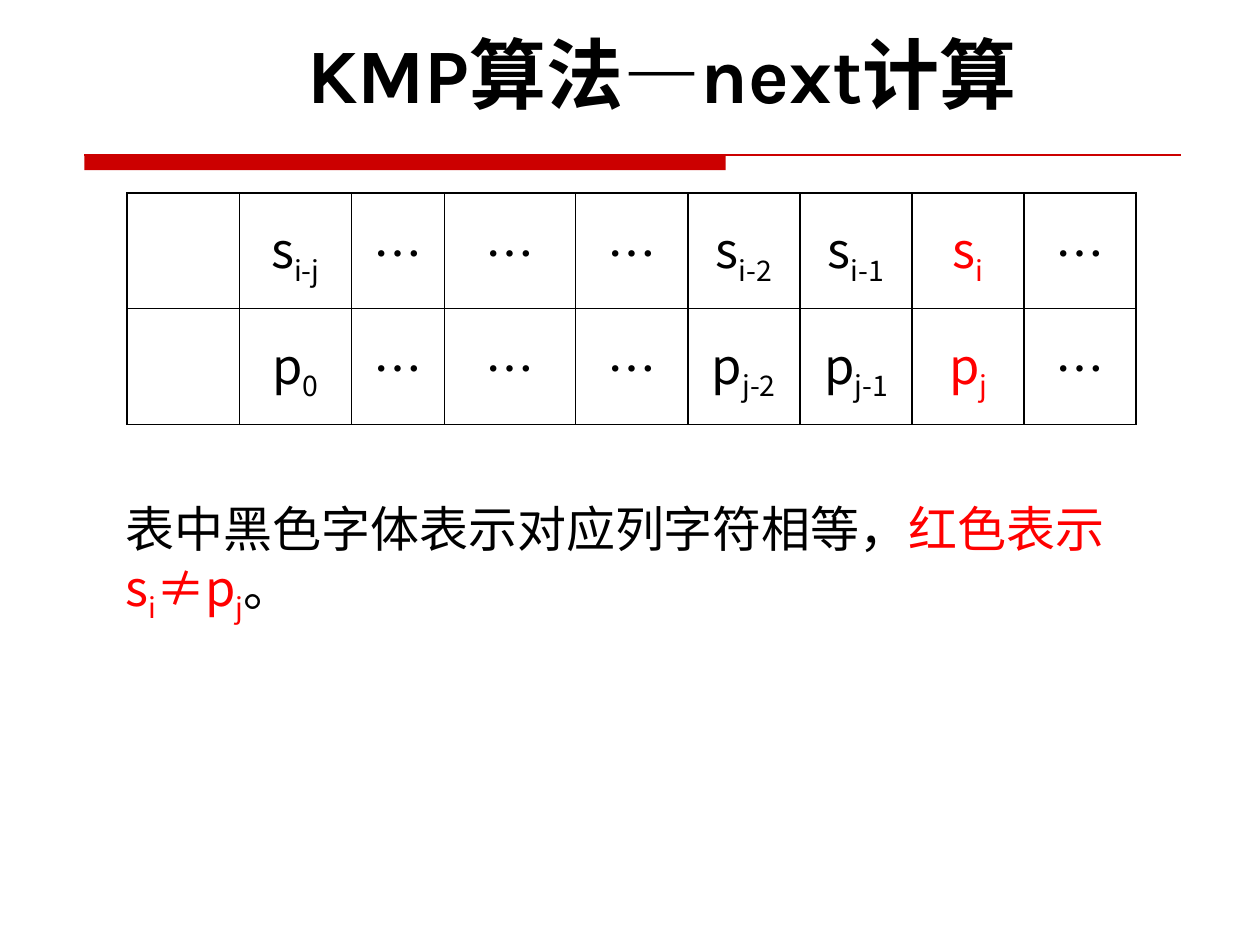
from pptx import Presentation
from pptx.dml.color import RGBColor
from pptx.enum.shapes import MSO_CONNECTOR, MSO_SHAPE
from pptx.enum.text import MSO_ANCHOR, PP_ALIGN
from pptx.oxml.ns import qn
from pptx.util import Inches, Pt
from lxml.etree import SubElement

BLACK = RGBColor(0, 0, 0)
WHITE = RGBColor(255, 255, 255)
RED = RGBColor(255, 0, 0)
RULE_RED = RGBColor(0xCC, 0, 0)
BODY_FONT = "Noto Sans CJK SC"
TITLE_FONT = "Karla"

# Content: a cell is (letter, subscript); MISMATCH is the column in red
TITLE = "KMP算法—next计算"
DOTS = ("…", "")
ROWS = [
    [None, ("s", "i-j"), DOTS, DOTS, DOTS, ("s", "i-2"), ("s", "i-1"), ("s", "i"), DOTS],
    [None, ("p", "0"), DOTS, DOTS, DOTS, ("p", "j-2"), ("p", "j-1"), ("p", "j"), DOTS],
]
MISMATCH = 7
COL_WIDTHS = [0.89, 0.89, 0.74, 1.04] + [0.89] * 5
ROW_HEIGHT = 0.92
NOTE = [  # text, colour, subscript
    ("表中黑色字体表示对应列字符相等，", BLACK, False),
    ("红色表示s", RED, False),
    ("i", RED, True),
    ("≠p", RED, False),
    ("j", RED, True),
    ("。", BLACK, False),
]


def add_run(p, text, color=BLACK, sub=False, size=28, font=BODY_FONT, bold=False):
    r = p.add_run()
    r.text = text
    r.font.size = Pt(size)
    r.font.bold = bold
    r.font.color.rgb = color
    r.font.name = font
    rPr = r.font._element
    SubElement(rPr, qn("a:ea")).set("typeface", BODY_FONT)
    if sub:
        rPr.set("baseline", "-25000")


def add_text(left, top, width, height):
    tf = slide.shapes.add_textbox(*map(Inches, (left, top, width, height))).text_frame
    tf.word_wrap = True
    return tf.paragraphs[0]


def add_borders(cell):
    tcPr = cell._tc.get_or_add_tcPr()
    for i, side in enumerate(("lnL", "lnR", "lnT", "lnB")):
        ln = tcPr.makeelement(qn(f"a:{side}"), {"w": str(Pt(1))})
        fill = SubElement(ln, qn("a:solidFill"))
        SubElement(fill, qn("a:srgbClr")).set("val", str(BLACK))
        tcPr.insert(i, ln)


prs = Presentation()
prs.slide_width, prs.slide_height = Inches(10), Inches(7.5)
slide = prs.slides.add_slide(prs.slide_layouts[6])

# Rule under the title: thick bar and thin line
bar = slide.shapes.add_shape(
    MSO_SHAPE.RECTANGLE, Inches(0.67), Inches(1.23), Inches(5.09), Inches(0.12))
bar.shadow.inherit = False
bar.fill.solid()
bar.fill.fore_color.rgb = RULE_RED
bar.line.fill.background()
rule = slide.shapes.add_connector(
    MSO_CONNECTOR.STRAIGHT, Inches(0.67), Inches(1.23), Inches(9.37), Inches(1.23))
rule.line.color.rgb = RULE_RED
rule.line.width = Pt(0.75)
SubElement(rule._element.spPr, qn("a:effectLst"))

# Comparison table
table = slide.shapes.add_table(
    len(ROWS), len(COL_WIDTHS), Inches(1.01), Inches(1.53),
    Inches(sum(COL_WIDTHS)), Inches(ROW_HEIGHT * len(ROWS))).table
for column, width in zip(table.columns, COL_WIDTHS):
    column.width = Inches(width)
for i, row in enumerate(ROWS):
    table.rows[i].height = Inches(ROW_HEIGHT)
    for j, content in enumerate(row):
        cell = table.cell(i, j)
        cell.fill.solid()
        cell.fill.fore_color.rgb = WHITE
        cell.vertical_anchor = MSO_ANCHOR.MIDDLE
        add_borders(cell)
        if content:
            letter, subscript = content
            color = RED if j == MISMATCH else BLACK
            p = cell.text_frame.paragraphs[0]
            p.alignment = PP_ALIGN.CENTER
            add_run(p, letter, color)
            if subscript:
                add_run(p, subscript, color, sub=True)

# Note and title
p = add_text(0.9, 3.91, 8.27, 1.04)
for text, color, sub in NOTE:
    add_run(p, text, color, sub)
p = add_text(0.63, 0.16, 9.25, 0.84)
p.alignment = PP_ALIGN.CENTER
add_run(p, TITLE, size=44, font=TITLE_FONT, bold=True)

prs.save("out.pptx")
